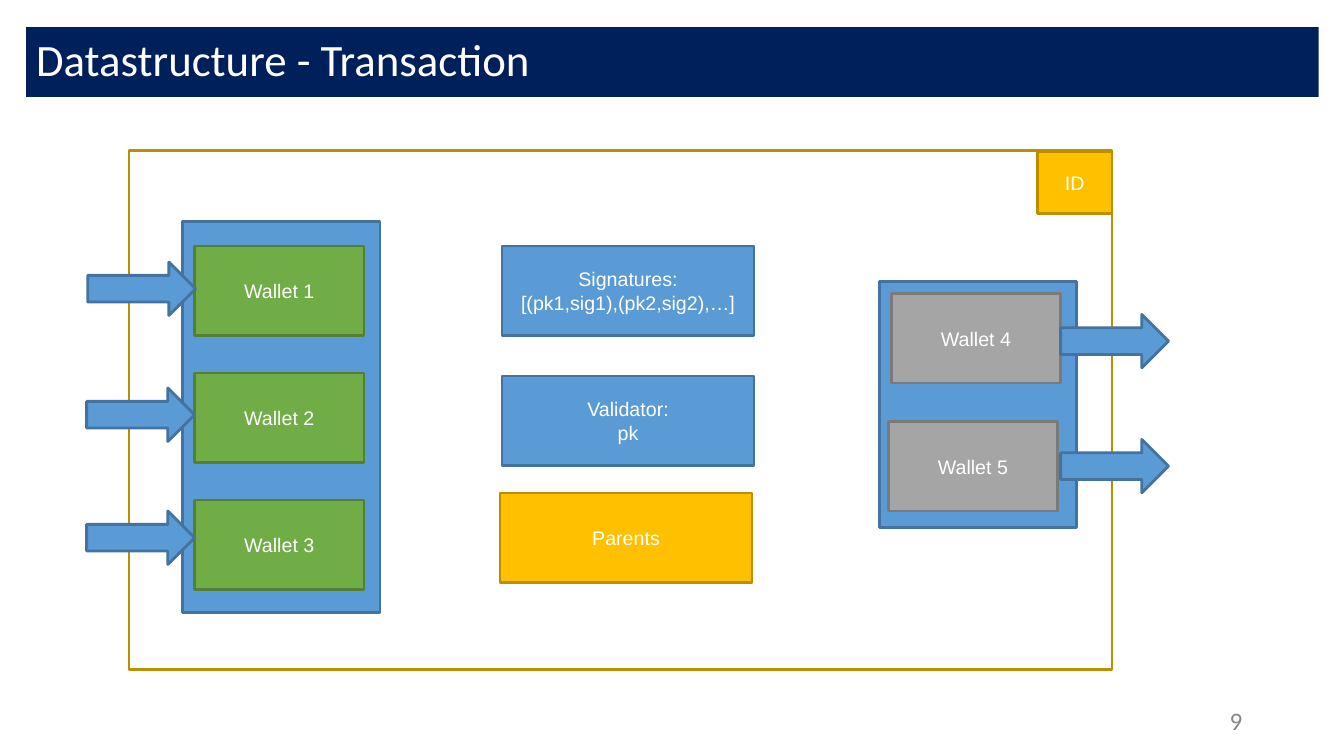
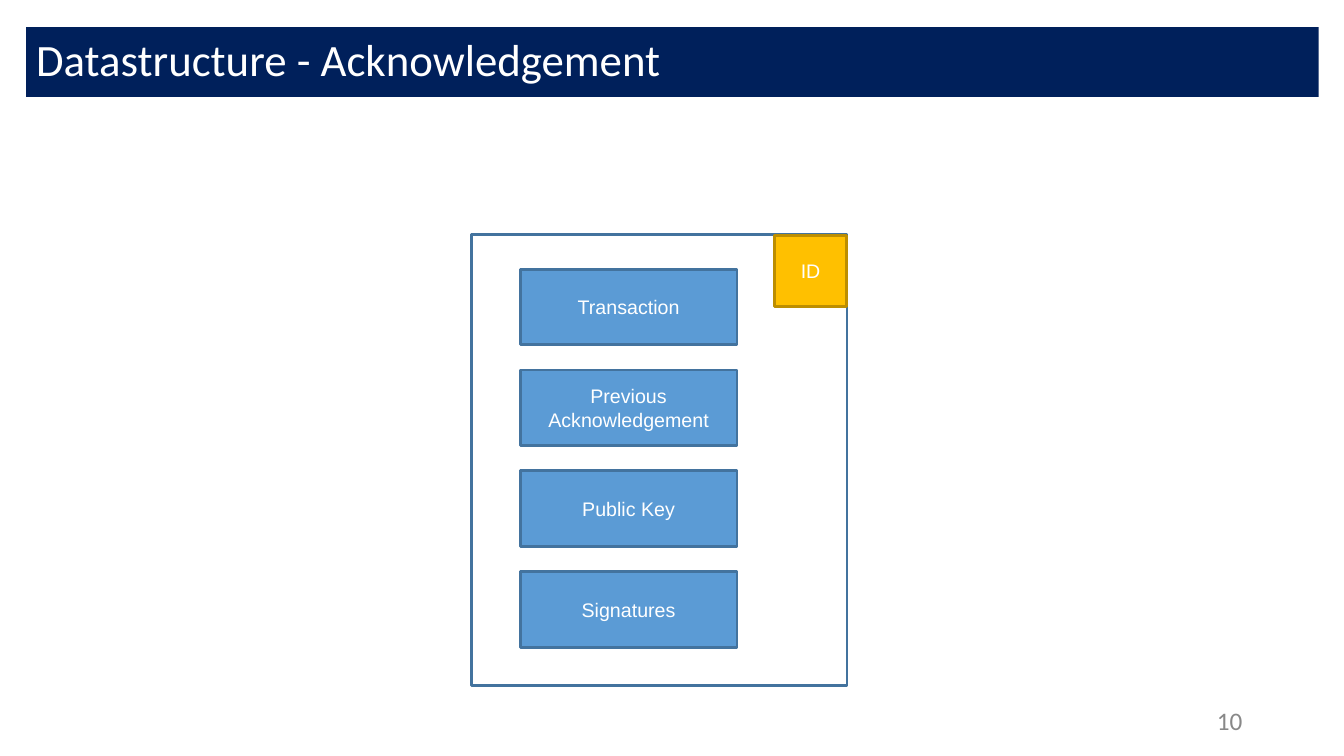
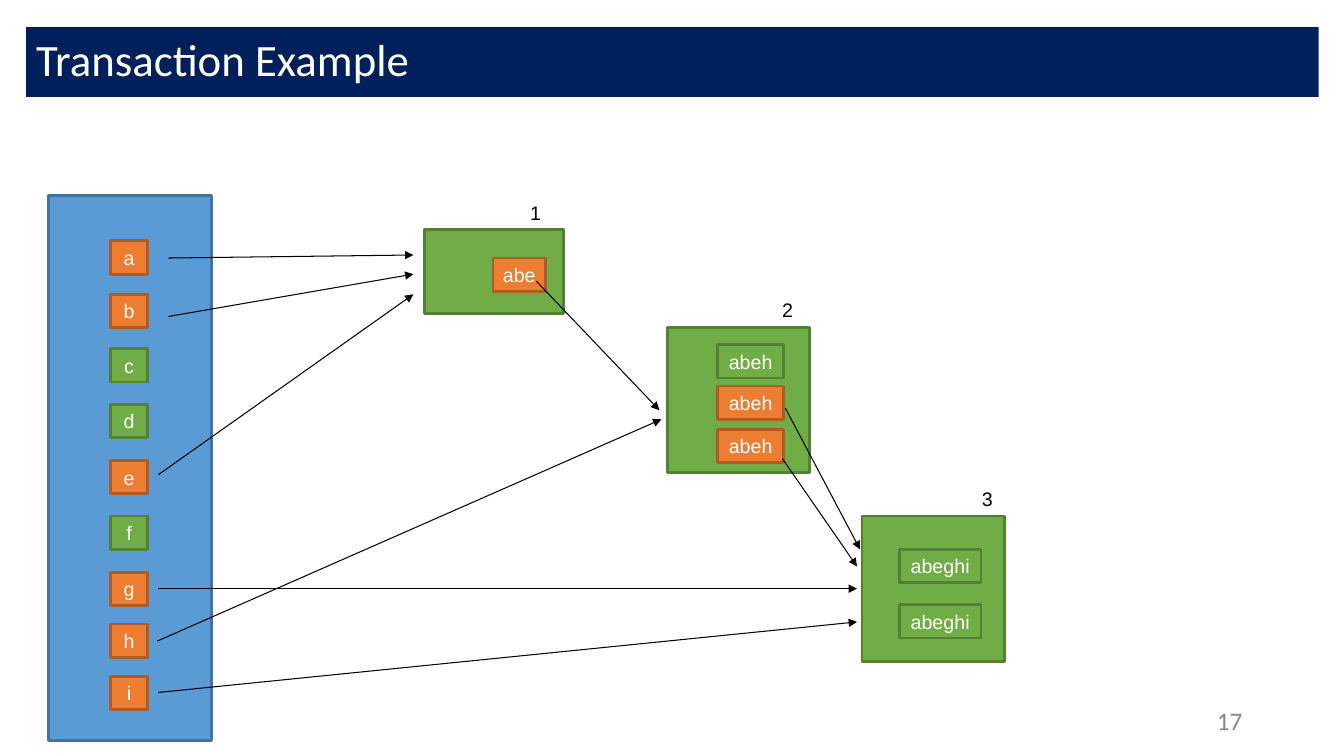
from lxml import etree
from pptx import Presentation
from pptx.dml.color import RGBColor
from pptx.enum.shapes import MSO_CONNECTOR, MSO_SHAPE
from pptx.enum.text import MSO_ANCHOR, PP_ALIGN
from pptx.oxml.ns import qn
from pptx.util import Pt

EMU_PER_PX = 9144
RECTANGLE = MSO_SHAPE.RECTANGLE
PROCESS = MSO_SHAPE.FLOWCHART_PROCESS
RIGHT_ARROW = MSO_SHAPE.RIGHT_ARROW
STRAIGHT = MSO_CONNECTOR.STRAIGHT
MIDDLE, TOP = MSO_ANCHOR.MIDDLE, MSO_ANCHOR.TOP
LEFT, CENTER, RIGHT = PP_ALIGN.LEFT, PP_ALIGN.CENTER, PP_ALIGN.RIGHT

NAVY, WHITE, BLACK, MUTED = "00205B", "FFFFFF", "000000", "888888"
BLUE = ("5B9BD5", "43739E")
GREEN = ("70AD47", "538035")
GRAY = ("A5A5A5", "7A7A7A")
GOLD = ("FFC000", "BD8E00")
ORANGE = ("ED7D31", "AF5C24")
BLUE_OUTLINE = (None, BLUE[1])
GOLD_OUTLINE = (None, GOLD[1])
BAND = (NAVY, None)


def px(length):
    return round(length * EMU_PER_PX)


def color(code):
    return RGBColor.from_string(code)


def inside(area, left, top, width, height):
    return area[0] + left, area[1] + top, width, height


def write_text(box, text, size=14, font="Arial", ink=WHITE, align=CENTER,
               anchor=MIDDLE, wrap=True, spacing=None):
    frame = box.text_frame
    frame.word_wrap = wrap
    frame.vertical_anchor = anchor
    for index, line in enumerate(text.split("\n")):
        para = frame.paragraphs[0] if index == 0 else frame.add_paragraph()
        para.alignment = align
        para.line_spacing = spacing
        span = para.add_run()
        span.text = line
        span.font.size = Pt(size)
        span.font.name = font
        span.font.color.rgb = color(ink)


def add_box(page, area, style, text=None, kind=RECTANGLE, **text_format):
    box = page.shapes.add_shape(kind, *map(px, area))
    box.shadow.inherit = False
    fill, line = style
    if fill:
        box.fill.solid()
        box.fill.fore_color.rgb = color(fill)
    else:
        box.fill.background()
    if line:
        box.line.color.rgb = color(line)
        box.line.width = Pt(2)
    else:
        box.line.fill.background()
    if text:
        write_text(box, text, **text_format)
    return box


def add_label(page, area, text, **text_format):
    write_text(page.shapes.add_textbox(*map(px, area)), text, **text_format)


def add_arrow(page, start, end):
    arrow = page.shapes.add_connector(STRAIGHT, *map(px, start + end))
    arrow.line.color.rgb = color(BLACK)
    arrow.line.width = Pt(0.75)
    line = arrow.line._get_or_add_ln()
    etree.SubElement(line, qn("a:tailEnd"), type="triangle")
    etree.SubElement(arrow._element.spPr, qn("a:effectLst"))


def add_page(deck, title, number):
    page = deck.slides.add_slide(deck.slide_layouts[6])
    add_box(page, (1101, 27, 207, 69), BAND)
    add_box(page, (26, 27, 1077, 69), BAND, title,
            size=32, font="Calibri", align=LEFT, spacing=0.9)
    add_label(page, (942, 695, 300, 40), str(number),
              size=18, font="Calibri", ink=MUTED, align=RIGHT)
    return page


def add_wallets(page, area, style, wallets, arrows):
    add_box(page, area, BLUE)
    for name, left, top in wallets:
        add_box(page, inside(area, left, top, 168, 89), style, name)
    for left, top in arrows:
        add_box(page, inside(area, left, top, 107, 53), BLUE, kind=RIGHT_ARROW)


def add_transaction(page, area):
    add_box(page, area, GOLD_OUTLINE)
    add_wallets(page, inside(area, 53, 71, 196, 388), GREEN,
                [(f"Wallet {index + 1}", 12, 24 + 126 * index) for index in range(3)],
                [(-94, 40), (-95, 165), (-95, 287)])
    add_wallets(page, inside(area, 744, 130, 196, 244), GRAY,
                [("Wallet 4", 12, 12), ("Wallet 5", 9, 139)],
                [(180, 33), (180, 157)])
    fields = [("Signatures:\n[(pk1,sig1),(pk2,sig2),…]", 370, 95, BLUE),
              ("Validator:\npk", 370, 224, BLUE),
              ("Parents", 368, 340, GOLD)]
    for text, left, top, style in fields:
        add_box(page, inside(area, left, top, 250, 89), style, text)
    add_box(page, inside(area, area[2] - 74, 1, 74, 62), GOLD, "ID")


def add_acknowledgement(page, area):
    add_box(page, area, BLUE_OUTLINE, kind=PROCESS)
    fields = ["Transaction", "Previous Acknowledgement", "Public Key", "Signatures"]
    for index, text in enumerate(fields):
        add_box(page, inside(area, 48, 34 + 100 * index, 215, 75), BLUE, text)
    add_box(page, inside(area, area[2] - 72, 1, 72, 70), GOLD, "ID")


def add_token_pool(page, area, spent):
    add_box(page, area, BLUE)
    tops = [45, 98, 152, 207, 263, 318, 374, 425, 477]
    for name, top in zip("abcdefghi", tops):
        style = ORANGE if name in spent else GREEN
        add_box(page, inside(area, 62, top, 36, 33), style, name, wrap=False)


def add_step(page, area, number, number_left, token, token_left, token_width, tokens):
    add_box(page, area, GREEN, kind=PROCESS)
    for top, style in tokens:
        add_box(page, inside(area, token_left, top, token_width, 33),
                style, token, wrap=False)
    add_label(page, inside(area, number_left, -34, 31, 34), number,
              ink=BLACK, align=LEFT, anchor=TOP)


def add_example(page, area):
    add_token_pool(page, inside(area, 0, 0, 162, 541), "abeghi")
    add_step(page, inside(area, 373, 34, 138, 83), "1", 95, "abe", 68, 52,
             [(28, ORANGE)])
    add_step(page, inside(area, 614, 131, 141, 144), "2", 104, "abeh", 50, 65,
             [(17, GREEN), (58, ORANGE), (101, ORANGE)])
    add_step(page, inside(area, 807, 318, 141, 144), "3", 109, "abeghi", 37, 81,
             [(33, GREEN), (88, GREEN)])
    flows = [(119, 62, 362, 59), (119, 120, 362, 78), (109, 277, 362, 98),
             (108, 442, 608, 222), (484, 85, 606, 213), (731, 211, 805, 351),
             (728, 261, 802, 368), (109, 493, 802, 423), (109, 390, 802, 390)]
    left, top = area[:2]
    for x1, y1, x2, y2 in flows:
        add_arrow(page, (left + x1, top + y1), (left + x2, top + y2))


def main():
    deck = Presentation()
    deck.slide_width, deck.slide_height = px(1333), px(750)
    add_transaction(add_page(deck, "Datastructure - Transaction", 9),
                    (128, 149, 975, 515))
    add_acknowledgement(add_page(deck, "Datastructure - Acknowledgement", 10),
                        (468, 233, 372, 447))
    add_example(add_page(deck, "Transaction Example", 17), (48, 194, 948, 541))
    deck.save("out.pptx")


if __name__ == "__main__":
    main()
